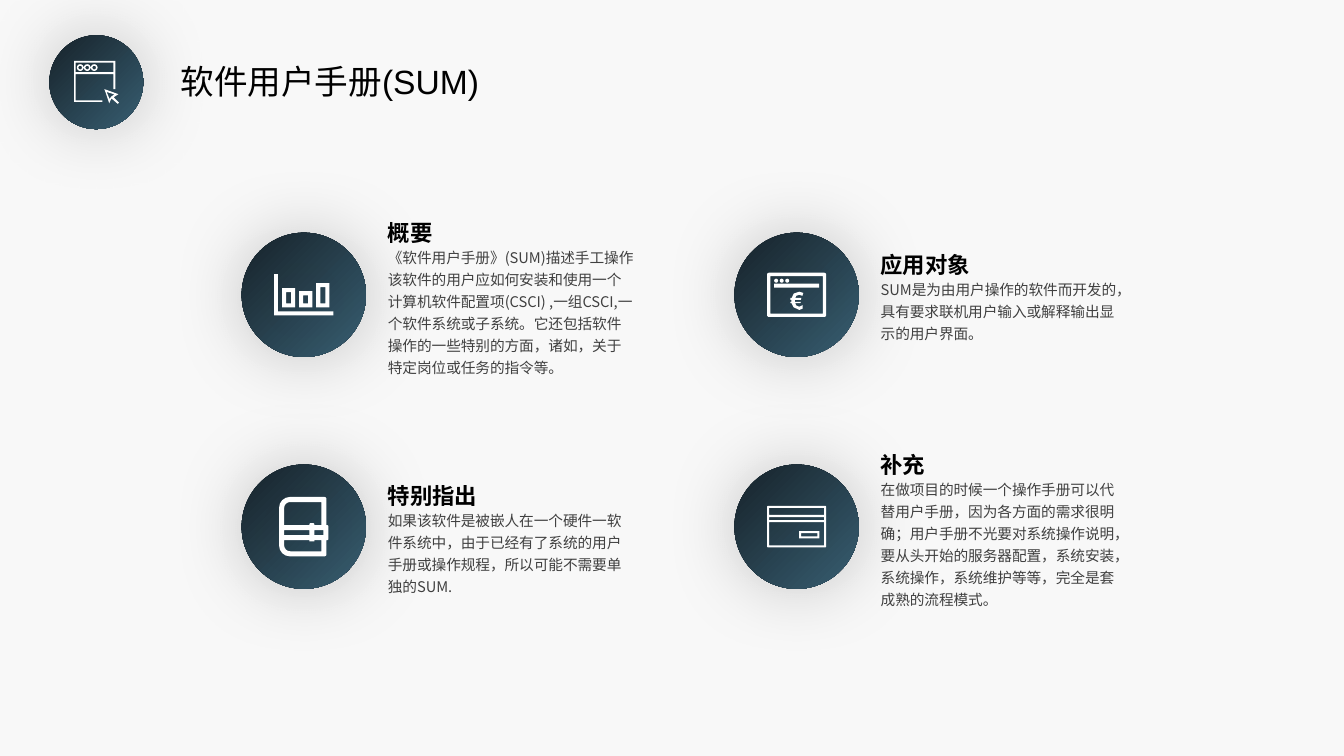
import math

from lxml import etree
from pptx import Presentation
from pptx import util as u
from pptx.dml.color import RGBColor
from pptx.enum import shapes, text
from pptx.oxml import ns

CJK = "Noto Sans CJK SC"
TITLE = {"size": u.Pt(24), "name": "Arial", "bold": False}
HEADING = {"size": u.Pt(16), "name": CJK, "bold": True}
BODY = {"size": u.Pt(10.5), "name": CJK, "bold": False}
FRAME = {"word_wrap": True, "auto_size": text.MSO_AUTO_SIZE.SHAPE_TO_FIT_TEXT,
         "vertical_anchor": text.MSO_ANCHOR.TOP}
LINE_HEIGHT = 15.95


def color(hex_string):
    return RGBColor.from_string(hex_string)


def apply(target, values):
    for name, value in values.items():
        setattr(target, name, value)


def sub(parent, tag, **attributes):
    return etree.SubElement(parent, ns.qn(tag), **attributes)


# Outlines: lists of points, measured in points from the centre of the disc
def rounded(x, y, w, h, radii=(0, 0, 0, 0)):
    corners = [(x, y, 1, 1), (x + w, y, -1, 1), (x + w, y + h, -1, -1), (x, y + h, 1, -1)]
    points = []
    for i, ((cx, cy, sx, sy), r) in enumerate(zip(corners, radii)):
        for step in range(5 if r else 1):
            angle = math.radians(180 + 90 * i + 22.5 * step)
            points.append((cx + r * (sx + math.cos(angle)), cy + r * (sy + math.sin(angle)))
                          if r else (cx, cy))
    return points


def frame(x, y, w, h, t, r=0):
    return [rounded(x, y, w, h, (r,) * 4), rounded(x + t, y + t, w - 2 * t, h - 2 * t)]


def dot(x, y, r):
    return rounded(x - r, y - r, 2 * r, 2 * r, (r,) * 4)


# Icons
def browser_icon():
    window = [(-15.8, -15.1), (13.7, -15.1), (13.7, 5), (12.2, 5), (12.2, -5.8),
              (-14.8, -5.8), (-14.8, 13), (4.3, 13), (4.3, 14), (-15.8, 14)]
    cursor = [(5.8, 5), (15.8, 8.6), (12.4, 10.8), (16.2, 14.6), (15.3, 15.5),
              (10.8, 11.6), (9.2, 15.1)]
    cursor_hole = [(7.4, 7), (9.4, 12), (10.9, 10.1), (13, 8.8)]
    buttons = [dot(-11.5 + 5 * i, -10.4, r) for i in range(3) for r in (2.4, 1.3)]
    return [window, rounded(-14.8, -13.9, 27, 6.8), cursor, cursor_hole] + buttons


def chart_icon():
    axes = [(-21.2, -14.8), (-18.4, -14.8), (-18.4, 11.9), (21.2, 11.9),
            (21.2, 14.8), (-21.2, 14.8)]
    outlines = [axes]
    for i, height in enumerate((13.7, 11.5, 17.3)):
        outlines += frame(-15.5 + 12.2 * i, 9 - height, 9.4, height, 2.9)
    return outlines


def notebook_icon():
    cover = [rounded(-17.6, -21.2, 33.8, 42.4, (7.7, 1.4, 1.4, 7.7)),
             rounded(-14, -17.6, 26.6, 16.5, (4.3, 0, 0, 0)),
             rounded(-14, 9.7, 26.6, 7.9, (0, 0, 0, 4.3))]
    strap = [rounded(-14, 2.5, 18, 3.6), rounded(7.6, 2.5, 6.4, 3.6),
             rounded(16.2, -1.1, 1.4, 10.8, (0, 1, 1, 0))]
    clasp = [rounded(4, -2.5, 3.6, 1.4, (1, 1, 0, 0)), rounded(4, 9.7, 3.6, 0.8)]
    return cover + strap + clasp


def euro_icon():
    euro = [(4.8, -1.4), (4.1, 0.7), (1.9, 0), (-0.2, 0.7), (-1, 2.2), (3.4, 2.2),
            (3.1, 3.6), (-1.2, 3.6), (-1.2, 5), (3.1, 5), (2.7, 6), (-1, 6),
            (-0.2, 7.6), (1.9, 8.5), (4.3, 7.4), (4.3, 9.9), (1.9, 10.8), (-2.2, 8.8),
            (-3.6, 6), (-4.5, 6), (-4.5, 5), (-3.7, 5), (-3.7, 3.6), (-4.5, 3.6),
            (-4.5, 2.2), (-3.5, 2.2), (-2, -0.9), (1.9, -2.2)]
    dots = [dot(-14.6 + 3.95 * i, -10.1, 1.4) for i in range(3)]
    return frame(-21.1, -15.8, 42.2, 31.6, 2.4, 1.4) + [rounded(-16, -7.9, 32, 2.7), euro] + dots


def bank_card_icon():
    stripes = [rounded(-19.7, top, 39.4, height)
               for top, height in ((-13.3, 5), (-6.8, 2.2), (-3.2, 16.6))]
    return [rounded(-21.1, -14.8, 42.2, 29.6, (0.7,) * 4)] + stripes + frame(1.9, 3.2, 14.4, 5.2, 1.4)


# Dark disc with a white icon in its middle
def add_shadow(shape):
    shape.shadow.inherit = False
    effects = shape._element.spPr.find(ns.qn("a:effectLst"))
    shadow = sub(effects, "a:outerShdw", blurRad=str(u.Pt(53)), dist="0", dir="0",
                 algn="ctr", rotWithShape="0")
    sub(sub(shadow, "a:srgbClr", val="000000"), "a:alpha", val="20000")


def add_badge(slide, left, top, size, outlines):
    group = slide.shapes.add_group_shape()
    disc = group.shapes.add_shape(shapes.MSO_SHAPE.OVAL, *map(u.Pt, (left, top, size, size)))
    disc.fill.gradient()
    disc.fill.gradient_angle = 315
    for stop, shade in zip(disc.fill.gradient_stops, ("17232B", "395F72")):
        stop.color.rgb = color(shade)

    builder = group.shapes.build_freeform(*(100 * v for v in outlines[0][0]), scale=u.Pt(0.01))
    for i, outline in enumerate(outlines):
        points = [(100 * x, 100 * y) for x, y in outline]
        if i:
            builder.move_to(*points[0])
        builder.add_line_segments(points[1:], close=True)
    icon = builder.convert_to_shape(u.Pt(left + size / 2), u.Pt(top + size / 2))
    icon.fill.solid()
    icon.fill.fore_color.rgb = color("FFFFFF")
    for part in (disc, icon):
        part.line.fill.background()
        add_shadow(part)


# Text
def write(shape, words, style, ink, spacing):
    apply(shape.text_frame, FRAME)
    paragraph = shape.text_frame.paragraphs[0]
    apply(paragraph, {"alignment": text.PP_ALIGN.LEFT, "line_spacing": spacing})
    run = paragraph.add_run()
    run.text = words
    apply(run.font, style)
    run.font.color.rgb = color(ink)
    sub(run._r.get_or_add_rPr(), "a:ea", typeface=CJK)


def add_header(slide, left, top, words):
    add_badge(slide, left, top, 67, browser_icon())
    title = slide.shapes.title
    apply(title, {"left": u.Pt(left + 86.4), "top": u.Pt(top + 14.4),
                  "width": u.Pt(304), "height": u.Pt(36)})
    write(title, words, TITLE, "000000", 1.0)


def add_topic(slide, left, top, icon, drop, lines, heading, body):
    add_badge(slide, left, top, 88.8, icon())
    text_left, text_top = left + 97.4, top + drop
    group = slide.shapes.add_group_shape()
    for offset, width, height, words, style, ink, spacing in (
            (22, 190, 7.2 + LINE_HEIGHT * lines, body, BODY, "404040", 1.25),
            (0, 161.3, 30.2, heading, HEADING, "000000", 1.2)):
        box = group.shapes.add_textbox(*map(u.Pt, (text_left, text_top + offset, width, height)))
        write(box, words, style, ink, spacing)


# Icon, drop of the heading below the disc's top, body lines, heading, body
TOPICS = [
    (chart_icon, -17.3, 6, "概要",
     "《软件用户手册》(SUM)描述手工操作该软件的用户应如何安装和使用一个计算机软件配置项(CSCI) ,一组CSCI,"
     "一个软件系统或子系统。它还包括软件操作的一些特别的方面，诸如，关于特定岗位或任务的指令等。"),
    (euro_icon, 5.8, 3, "应用对象",
     "SUM是为由用户操作的软件而开发的，具有要求联机用户输入或解释输出显示的用户界面。"),
    (notebook_icon, 5, 4, "特别指出",
     "如果该软件是被嵌人在一个硬件一软件系统中，由于已经有了系统的用户手册或操作规程，所以可能不需要单独的SUM."),
    (bank_card_icon, -17.3, 6, "补充",
     "在做项目的时候一个操作手册可以代替用户手册，因为各方面的需求很明确；用户手册不光要对系统操作说明，"
     "要从头开始的服务器配置，系统安装，系统操作，系统维护等等，完全是套成熟的流程模式。"),
]


def main():
    deck = Presentation()
    apply(deck, {"slide_width": u.Pt(960), "slide_height": u.Pt(540)})
    slide = deck.slides.add_slide(deck.slide_layouts[5])
    slide.background.fill.solid()
    slide.background.fill.fore_color.rgb = color("F8F8F8")

    add_header(slide, 35.3, 25.2, "软件用户手册(SUM)")
    for i, topic in enumerate(TOPICS):
        row, column = divmod(i, 2)
        add_topic(slide, 172.6 + 352 * column, 166.2 + 165.6 * row, *topic)
    deck.save("out.pptx")


if __name__ == "__main__":
    main()
